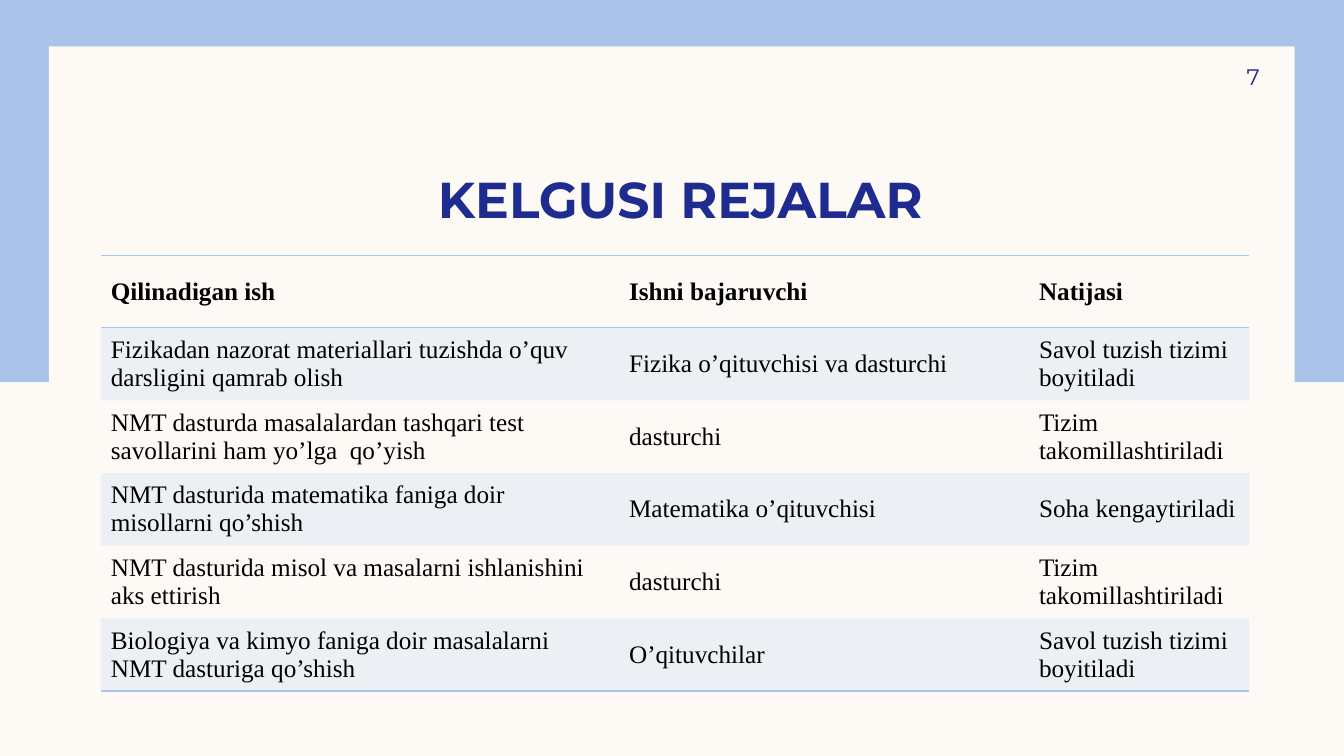
from lxml.etree import SubElement
from pptx import Presentation
from pptx.dml.color import RGBColor
from pptx.enum.shapes import MSO_SHAPE as Preset
from pptx.enum.text import MSO_ANCHOR as Anchor, PP_ALIGN as Align
from pptx.oxml import parse_xml
from pptx.oxml.ns import nsdecls, qn
from pptx.util import Cm, Pt

CREAM = RGBColor(0xFD, 0xFA, 0xF6)
SKY = RGBColor(0xAA, 0xC3, 0xE8)
NAVY = RGBColor(0x1F, 0x2C, 0x8F)
BLACK = RGBColor(0, 0, 0)

WIDTH, HEIGHT = 33.87, 19.05
PLAIN_TABLE = "{2D5ABB26-0587-4C30-8999-92F81FD0307C}"
COLUMN_WIDTHS = (13.06, 10.33, 5.55)
ROW_HEIGHT = 1.83
PLANS = (
    ("Qilinadigan ish", "Ishni bajaruvchi", "Natijasi"),
    ("Fizikadan nazorat materiallari tuzishda o’quv darsligini qamrab olish",
     "Fizika o’qituvchisi va dasturchi", "Savol tuzish tizimi boyitiladi"),
    ("NMT dasturda masalalardan tashqari test savollarini ham yo’lga  qo’yish",
     "dasturchi", "Tizim takomillashtiriladi"),
    ("NMT dasturida matematika faniga doir misollarni qo’shish",
     "Matematika o’qituvchisi", "Soha kengaytiriladi"),
    ("NMT dasturida misol va masalarni ishlanishini aks ettirish",
     "dasturchi", "Tizim takomillashtiriladi"),
    ("Biologiya va kimyo faniga doir masalalarni NMT dasturiga qo’shish",
     "O’qituvchilar", "Savol tuzish tizimi boyitiladi"),
)


class SlideBuilder:
    title_font = {"name": "Montserrat", "size": Pt(36), "bold": True}
    number_font = {"name": "Montserrat", "size": Pt(16), "bold": False}
    table_font = {"name": "Times New Roman", "size": Pt(18)}

    def __init__(self, slide):
        self.slide = slide

    def background(self, color):
        fill = self.slide.background.fill
        fill.solid()
        fill.fore_color.rgb = color

    def panel(self, left, top, width, height, color):
        shape = self.slide.shapes.add_shape(
            Preset.RECTANGLE, Cm(left), Cm(top), Cm(width), Cm(height))
        shape.shadow.inherit = False
        shape.fill.solid()
        shape.fill.fore_color.rgb = color
        shape.line.fill.background()

    def fill_frame(self, frame, text, font, color, align):
        paragraph = frame.paragraphs[0]
        paragraph.alignment = align
        run = paragraph.add_run()
        run.text = text
        for name, value in font.items():
            setattr(run.font, name, value)
        run.font.color.rgb = color

    def text(self, text, left, top, width, height, font, align, frame_format):
        box = self.slide.shapes.add_textbox(Cm(left), Cm(top), Cm(width), Cm(height))
        frame = box.text_frame
        frame.word_wrap = True
        for name, value in frame_format.items():
            setattr(frame, name, value)
        self.fill_frame(frame, text, font, NAVY, align)

    def border(self, cell, sides):
        properties = cell._tc.get_or_add_tcPr()
        for index, side in enumerate(sides):
            properties.insert(index, parse_xml(
                f'<a:{side} {nsdecls("a")} w="12700"><a:solidFill>'
                f'<a:srgbClr val="{SKY}"/></a:solidFill></a:{side}>'))

    def band(self, cell):
        cell.fill.solid()
        cell.fill.fore_color.rgb = SKY
        color = cell._tc.tcPr.find(f'{qn("a:solidFill")}/{qn("a:srgbClr")}')
        SubElement(color, qn("a:alpha"), val="20000")

    def table(self, rows, left, top, column_widths, row_height):
        table = self.slide.shapes.add_table(
            len(rows), len(column_widths), Cm(left), Cm(top),
            Cm(sum(column_widths)), Cm(row_height * len(rows))).table
        table.horz_banding = False
        table._tbl.tblPr.find(qn("a:tableStyleId")).text = PLAIN_TABLE
        for column, width in zip(table.columns, column_widths):
            column.width = Cm(width)
        borders = {0: ("lnT", "lnB"), len(rows) - 1: ("lnB",)}
        for row_index, texts in enumerate(rows):
            table.rows[row_index].height = Cm(row_height)
            font = {**self.table_font, "bold": row_index == 0}
            for cell, text in zip(table.rows[row_index].cells, texts):
                cell.vertical_anchor = Anchor.MIDDLE
                self.fill_frame(cell.text_frame, text, font, BLACK, Align.LEFT)
                if row_index % 2:
                    self.band(cell)
                else:
                    cell.fill.background()
                self.border(cell, borders.get(row_index, ()))


def main():
    presentation = Presentation()
    presentation.slide_width = Cm(WIDTH)
    presentation.slide_height = Cm(HEIGHT)
    builder = SlideBuilder(presentation.slides.add_slide(presentation.slide_layouts[6]))
    builder.background(CREAM)
    builder.panel(0, 0, WIDTH, 9.63, SKY)
    builder.panel(1.23, 1.17, 31.4, 16.74, CREAM)
    builder.text("KELGUSI REJALAR", 2.54, 2.95, 29.21, 2.82, builder.title_font,
                 Align.CENTER, {"vertical_anchor": Anchor.BOTTOM,
                                "margin_top": 0, "margin_bottom": 0})
    builder.table(PLANS, 2.54, 6.43, COLUMN_WIDTHS, ROW_HEIGHT)
    builder.text("7", 28.78, 1.27, 2.97, 1.32, builder.number_font,
                 Align.RIGHT, {"vertical_anchor": Anchor.MIDDLE, "margin_right": 0})
    presentation.save("out.pptx")


if __name__ == "__main__":
    main()
